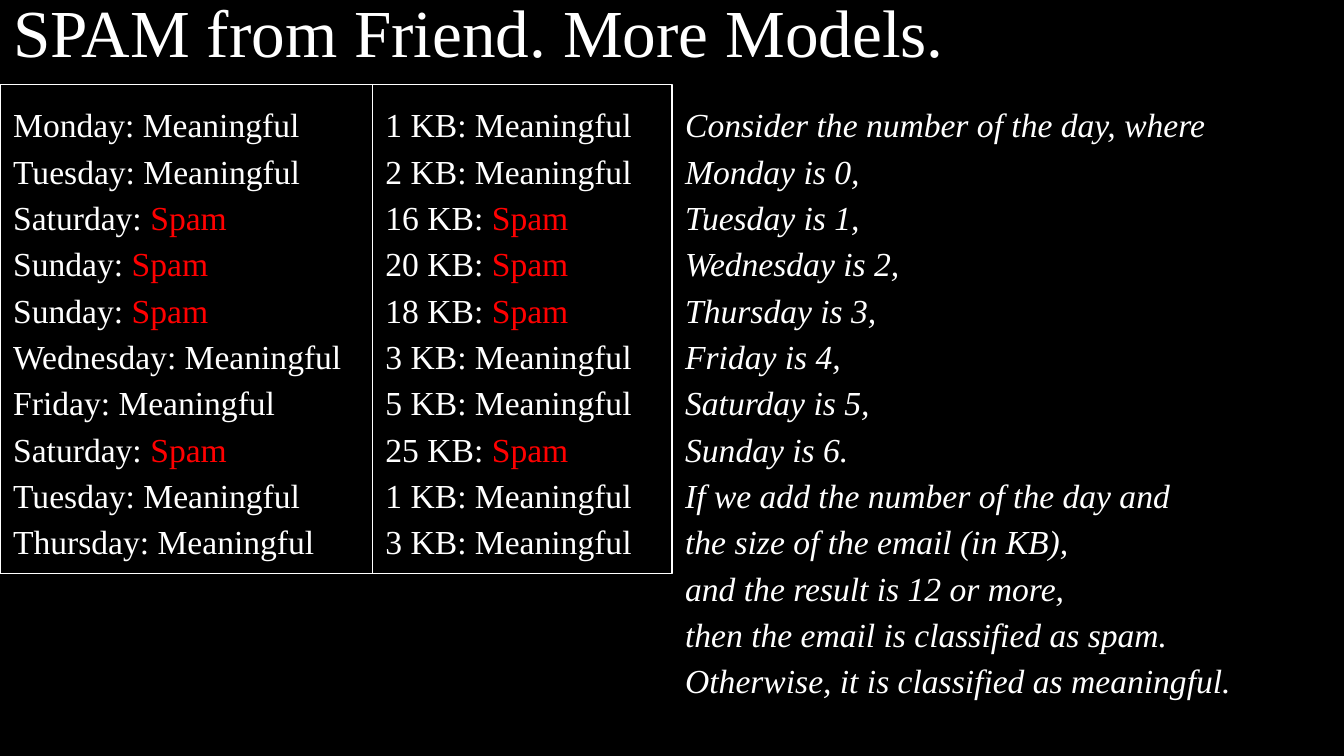
from pptx import Presentation
from pptx.dml.color import RGBColor
from pptx.enum import shapes, text
from pptx.util import Inches, Pt

COLORS = {"background": "000000", "text": "FFFFFF", "spam": "FF0000"}
FONT = "Times New Roman"
TITLE = "SPAM from Friend. More Models."
EMAILS = [
    ("Monday", 1, "Meaningful"),
    ("Tuesday", 2, "Meaningful"),
    ("Saturday", 16, "Spam"),
    ("Sunday", 20, "Spam"),
    ("Sunday", 18, "Spam"),
    ("Wednesday", 3, "Meaningful"),
    ("Friday", 5, "Meaningful"),
    ("Saturday", 25, "Spam"),
    ("Tuesday", 1, "Meaningful"),
    ("Thursday", 3, "Meaningful"),
]
RULE = [
    "Consider the number of the day, where",
    "Monday is 0,",
    "Tuesday is 1,",
    "Wednesday is 2,",
    "Thursday is 3,",
    "Friday is 4,",
    "Saturday is 5,",
    "Sunday is 6.",
    "If we add the number of the day and",
    "the size of the email (in KB),",
    "and the result is 12 or more,",
    "then the email is classified as spam.",
    "Otherwise, it is classified as meaningful.",
]
TITLE_HEIGHT = 0.63


def rgb(name):
    return RGBColor.from_string(COLORS[name])


def labelled(label, kind):
    if kind == "Spam":
        return [(f"{label}: ", "text"), (kind, "spam")]
    return [(f"{label}: {kind}", "text")]


def add_panel(s, box, fill=None, line=None):
    sp = s.shapes.add_shape(shapes.MSO_SHAPE.RECTANGLE, *map(Inches, box))
    sp.shadow.inherit = False
    if fill:
        sp.fill.solid()
        sp.fill.fore_color.rgb = rgb(fill)
    else:
        sp.fill.background()
    if line:
        sp.line.color.rgb = rgb(line)
        sp.line.width = Pt(0.75)
    else:
        sp.line.fill.background()
    return sp


def write(sp, lines, size=18, spacing=1.15, italic=None,
          anchor=text.MSO_ANCHOR.TOP):
    tf = sp.text_frame
    tf.word_wrap = True
    tf.vertical_anchor = anchor
    tf.margin_left = tf.margin_right = Inches(0.1)
    tf.margin_top = tf.margin_bottom = Inches(0.1)
    for i, runs in enumerate(lines):
        p = tf.add_paragraph() if i else tf.paragraphs[0]
        p.alignment = text.PP_ALIGN.LEFT
        p.line_spacing = spacing
        for words, color in runs:
            r = p.add_run()
            r.text = words
            r.font.name = FONT
            r.font.size = Pt(size)
            r.font.italic = italic
            r.font.color.rgb = rgb(color)


prs = Presentation()
prs.slide_width = Inches(10)
prs.slide_height = prs.slide_width * 9 // 16
s = prs.slides.add_slide(prs.slide_layouts[6])
s.background.fill.solid()
s.background.fill.fore_color.rgb = rgb("background")

title = add_panel(s, (0, 0, 10, TITLE_HEIGHT), fill="background")
write(title, [[(TITLE, "text")]], size=36, spacing=1.0,
      anchor=text.MSO_ANCHOR.BOTTOM)

days = [labelled(day, kind) for day, size, kind in EMAILS]
sizes = [labelled(f"{size} KB", kind) for day, size, kind in EMAILS]

left = 0
for lines, width in [(days, 2.77), (sizes, 2.23)]:
    write(add_panel(s, (left, TITLE_HEIGHT, width, 3.64), line="text"), lines)
    left += width

rule = s.shapes.add_textbox(*map(Inches, (left, TITLE_HEIGHT, 5, 4.69)))
write(rule, [[(line, "text")] for line in RULE], italic=True)

prs.save("out.pptx")
